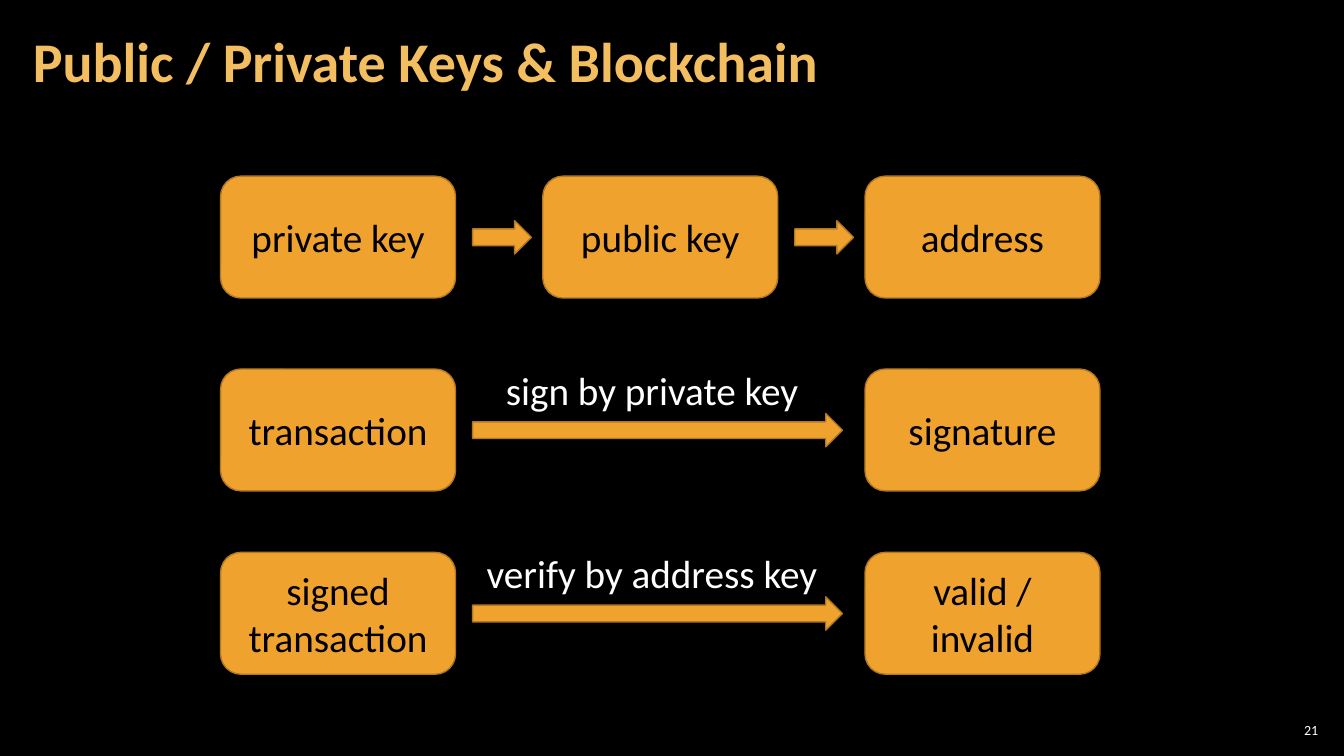
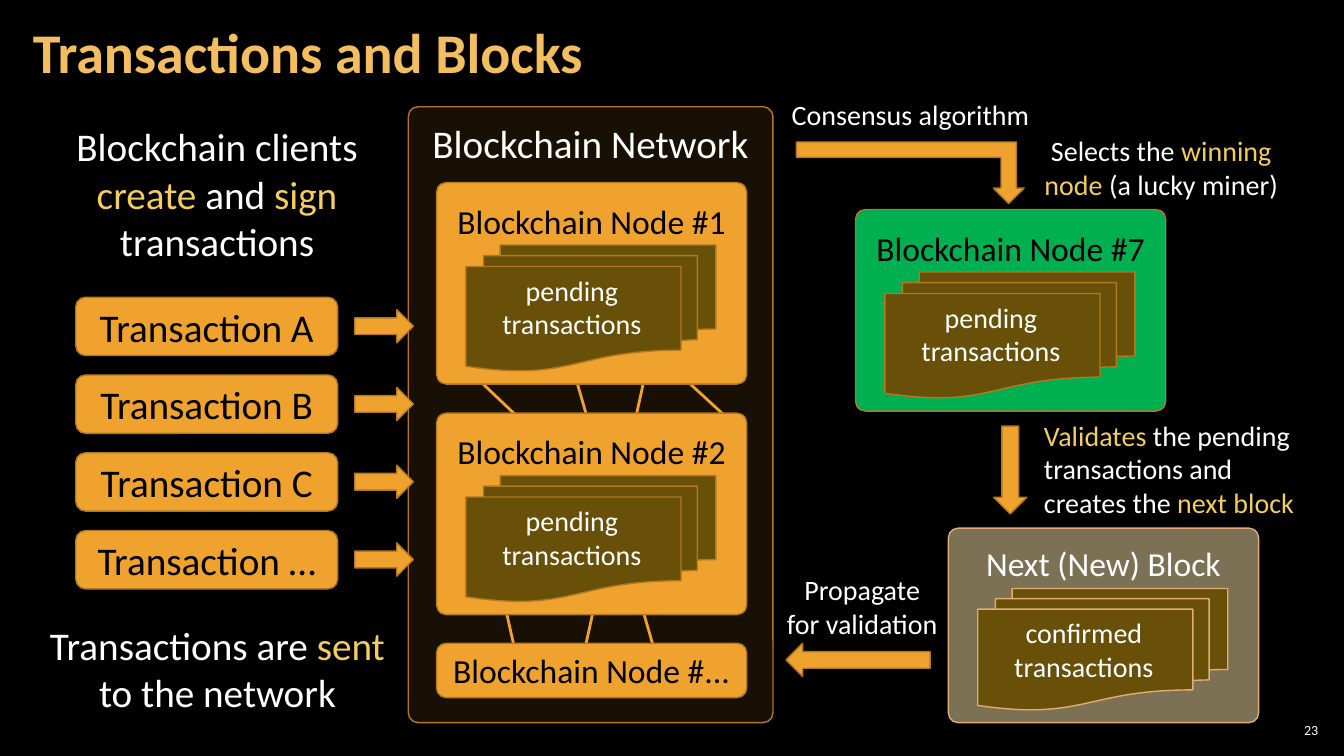
from lxml import etree
from pptx import Presentation
from pptx import util as u
from pptx.dml.color import RGBColor
from pptx.enum import shapes, text
from pptx.oxml.ns import qn

COLORS = {
    "background": "000000", "title": "F3BE60", "accent": "F3CD60", "white": "FFFFFF",
    "black": "000000", "orange": "F0A22E", "edge": "B27822", "document": "695008",
    "winner": "00B050", "block": "7C7154", "block_edge": "E2AC76",
}
FONT = "Calibri"
KIND = shapes.MSO_SHAPE
ALIGN = text.PP_ALIGN
ANCHOR = text.MSO_ANCHOR


def add_shape(slide, kind, box, fill="orange", line="edge", corner=None):
    shape = slide.shapes.add_shape(kind, *map(u.Cm, box))
    shape.shadow.inherit = False
    shape.fill.solid()
    shape.fill.fore_color.rgb = RGBColor.from_string(COLORS[fill])
    shape.line.color.rgb = RGBColor.from_string(COLORS[line])
    shape.line.width = u.Pt(1)
    if corner is not None:
        shape.adjustments[0] = corner
    return shape


def add_text(slide, content, box=None, shape=None, size=28, color="white", bold=False,
             align=ALIGN.CENTER, anchor=ANCHOR.TOP, wrap=True, spacing=None, insets=None):
    """Write into shape, or into a new text box; *stars* mark words in the accent colour.

    insets holds the horizontal and the vertical inner margin in centimetres.
    """
    shape = shape or slide.shapes.add_textbox(*map(u.Cm, box))
    frame = shape.text_frame
    frame.word_wrap = wrap
    frame.vertical_anchor = anchor
    if insets:
        frame.margin_left = frame.margin_right = u.Cm(insets[0])
        frame.margin_top = frame.margin_bottom = u.Cm(insets[1])
    for index, line in enumerate(content.split("\n")):
        paragraph = frame.add_paragraph() if index else frame.paragraphs[0]
        paragraph.alignment = align
        paragraph.line_spacing = spacing
        for part, words in enumerate(line.split("*")):
            if not words:
                continue
            run = paragraph.add_run()
            run.text = words
            run.font.name = FONT
            run.font.size = u.Pt(size)
            run.font.bold = bold
            run.font.color.rgb = RGBColor.from_string(COLORS["accent" if part % 2 else color])


presentation = Presentation()
presentation.slide_width = u.Cm(33.87)
presentation.slide_height = u.Cm(19.05)
background = presentation.slide_master.background.fill
background.solid()
background.fore_color.rgb = RGBColor.from_string(COLORS["background"])

# Shared frame: title and slide number
slides = []
for title, title_height, number in [
    ("Public / Private Keys & Blockchain", 3.07, "21"),
    ("Transactions and Blocks", 2.59, "23"),
]:
    slide = presentation.slides.add_slide(presentation.slide_layouts[6])
    add_text(slide, number, (32.13, 18.14, 1.19, 0.53), size=10, align=ALIGN.RIGHT,
             anchor=ANCHOR.MIDDLE, insets=(0.1, 0.1))
    add_text(slide, title, (0.53, 0.1, 26.59, title_height), size=40, color="title", bold=True,
             align=ALIGN.LEFT, anchor=ANCHOR.MIDDLE, spacing=0.9, insets=(0.3, 0.1))
    slides.append(slide)
keys_slide, blocks_slide = slides

# Keys: three rows of boxes joined by block arrows
FIRST_COLUMN, COLUMN_STEP = 5.56, 8.12
ARROW_LENGTH, ARROW_HEIGHT = 1.48, 0.84
for top, steps, arrow_label in [
    (4.44, ["private key", "public key", "address"], None),
    (9.3, ["transaction", None, "signature"], "sign by private key"),
    (13.92, ["signed transaction", None, "valid / invalid"], "verify by address key"),
]:
    for column, step in enumerate(steps):
        left = FIRST_COLUMN + column * COLUMN_STEP
        if step:
            shape = add_shape(keys_slide, KIND.ROUNDED_RECTANGLE, (left, top, 5.92, 3.07))
            add_text(keys_slide, step, shape=shape, color="black", anchor=ANCHOR.MIDDLE)
        if step and column < 2:
            length = 9.32 if arrow_label else ARROW_LENGTH
            add_shape(keys_slide, KIND.RIGHT_ARROW, (left + 6.35, top + 1.12, length, ARROW_HEIGHT))
    if arrow_label:
        add_text(keys_slide, arrow_label, (11.96, top - 0.2, 8.94, 1.45), wrap=False)

# Blocks: clients and their transactions
add_text(blocks_slide, "Blockchain clients *create* and *sign* transactions", (1.42, 2.97, 8.1, 3.84))
add_text(blocks_slide, "Transactions are *sent* to the network", (0.91, 15.54, 9.14, 2.64))
transaction_tops = [7.49 + 1.96 * row for row in range(4)]
for name, top in zip("ABC…", transaction_tops):
    shape = add_shape(blocks_slide, KIND.ROUNDED_RECTANGLE, (1.91, top, 6.6, 1.47))
    add_text(blocks_slide, f"Transaction {name}", shape=shape, color="black", anchor=ANCHOR.MIDDLE)

# Blocks: links between nodes, under the network panel
for ends in [
    (17.15, 9.45, 18.42, 10.62), (14.45, 9.32, 16.69, 17.07), (12.52, 14.35, 13.16, 17.2),
    (11.43, 8.97, 14.61, 11.99), (16.28, 9.35, 14.61, 16.94),
]:
    link = blocks_slide.shapes.add_connector(shapes.MSO_CONNECTOR.STRAIGHT, *map(u.Cm, ends))
    link.line.color.rgb = RGBColor.from_string(COLORS["orange"])
    link.line.width = u.Pt(2)
    etree.SubElement(link.element.spPr, qn("a:effectLst"))

panel = add_shape(blocks_slide, KIND.ROUNDED_RECTANGLE, (10.29, 2.69, 9.19, 15.52), corner=0.027)
panel_color = panel.element.spPr.find(qn("a:solidFill")).find(qn("a:srgbClr"))
etree.SubElement(panel_color, qn("a:alpha")).set("val", "10000")
add_text(blocks_slide, "Blockchain Network", (10.41, 2.87, 8.94, 1.45))

# Blocks: cards holding a stack of documents
CARD_WIDTH = 7.82
for title, left, top, height, inset, fill, line, color, documents in [
    ("Blockchain Node #1", 11, 4.6, 5.08, 0.38, "orange", "edge", "black", "pending transactions"),
    ("Blockchain Node #2", 11, 10.41, 5.08, 0.38, "orange", "edge", "black", "pending transactions"),
    ("Blockchain Node #7", 21.56, 5.28, 5.08, 0.38, "winner", "edge", "black", "pending transactions"),
    ("Next (New) Block", 23.9, 13.31, 4.9, 0.29, "block", "block_edge", "white",
     "confirmed transactions"),
]:
    card = add_shape(blocks_slide, KIND.ROUNDED_RECTANGLE, (left, top, CARD_WIDTH, height),
                     fill, line, corner=0.05)
    add_text(blocks_slide, title, shape=card, size=24, color=color, insets=(0.25, inset))
    add_shape(blocks_slide, KIND.FLOWCHART_MULTIDOCUMENT,
              (left + 0.74, top + 0.31 * height, 6.3, 0.625 * height), "document", line)
    add_text(blocks_slide, documents, (left + 0.99, top + 0.425 * height, 4.85, 1.96), size=20)

more_nodes = add_shape(blocks_slide, KIND.ROUNDED_RECTANGLE, (11, 16.21, CARD_WIDTH, 1.37),
                       corner=0.179)
add_text(blocks_slide, "Blockchain Node #...", shape=more_nodes, size=24, color="black",
         anchor=ANCHOR.MIDDLE)

# Blocks: arrows and their captions
for top in transaction_tops:
    add_shape(blocks_slide, KIND.RIGHT_ARROW, (8.94, top + 0.31, ARROW_LENGTH, ARROW_HEIGHT))
consensus_arrow = add_shape(blocks_slide, KIND.BENT_UP_ARROW, (20.07, 3.58, 5.74, 1.55))
consensus_arrow.element.spPr.find(qn("a:xfrm")).set("flipV", "1")
add_shape(blocks_slide, KIND.DOWN_ARROW, (25.04, 10.74, ARROW_HEIGHT, 2.21))
add_shape(blocks_slide, KIND.LEFT_ARROW, (19.81, 16.21, 3.63, ARROW_HEIGHT))

for caption, box, align in [
    ("Consensus algorithm", (19.67, 2.34, 6.55, 0.97), ALIGN.CENTER),
    ("Selects the *winning*\n*node* (a lucky miner)", (26.04, 3.25, 6.45, 1.96), ALIGN.CENTER),
    ("*Validates* the pending\ntransactions and\ncreates the *next block*",
     (26.06, 10.41, 6.88, 2.82), ALIGN.LEFT),
    ("Propagate\nfor validation", (19.56, 14.3, 4.34, 1.96), ALIGN.CENTER),
]:
    add_text(blocks_slide, caption, box, size=20, align=align, wrap=False)

presentation.save("out.pptx")
